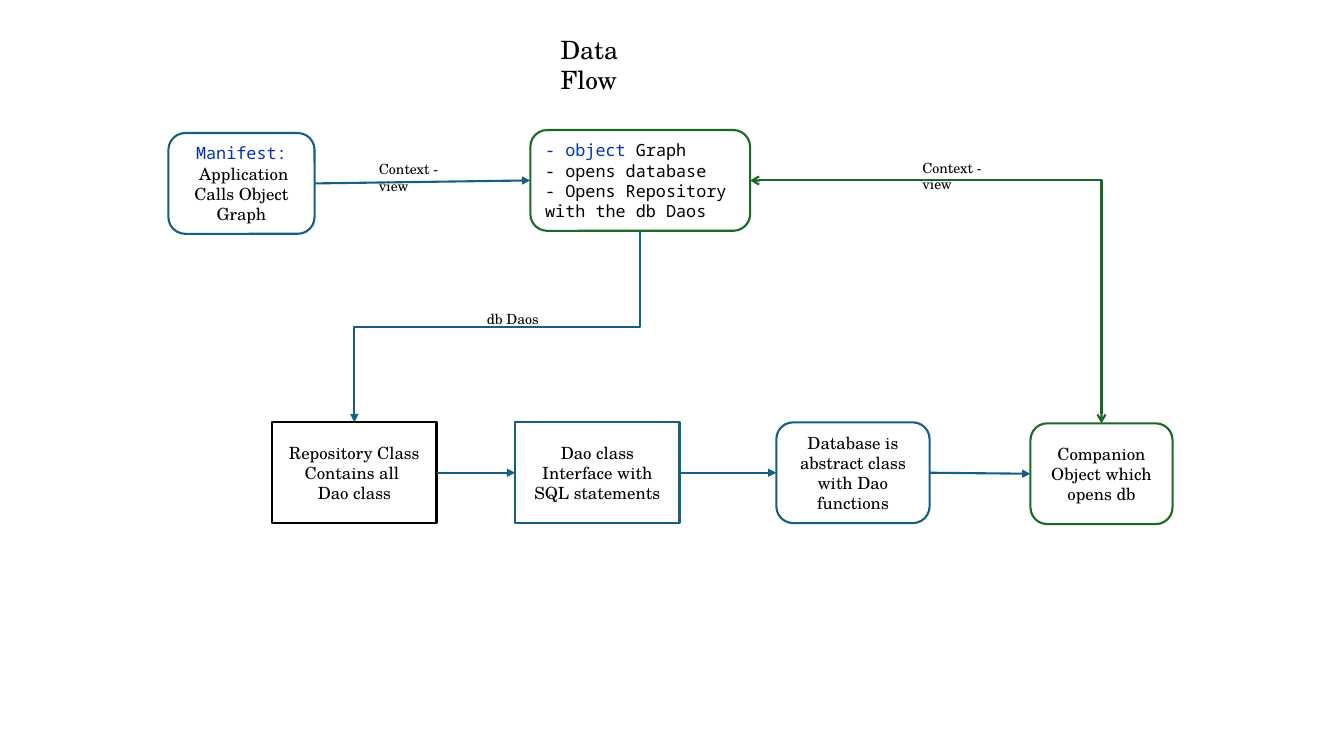
from pptx import Presentation
from pptx import util as u
from pptx.dml.color import RGBColor
from pptx.enum import shapes, text
from pptx.oxml import parse_xml
from pptx.oxml.ns import nsdecls, qn

HUES = {"ink": "000000", "paper": "FFFFFF", "blue": "156082",
        "green": "196B24", "code": "0033B3"}
SERIF, MONO = "TeX Gyre Schola", "Noto Sans Mono"
RECT = shapes.MSO_SHAPE.RECTANGLE
ROUND = shapes.MSO_SHAPE.ROUNDED_RECTANGLE
KINDS = shapes.MSO_CONNECTOR
LEFT, MID = text.PP_ALIGN.LEFT, text.PP_ALIGN.CENTER
# Connection sites of a rectangle
WEST, EAST = 1, 3


def hue(name):
    return RGBColor.from_string(HUES[name])


def write(shape, lines, size=12, align=MID, anchor=text.MSO_ANCHOR.MIDDLE):
    """Each line is a list of (words, font, colour) runs, or plain serif words."""
    frame = shape.text_frame
    frame.word_wrap = True
    frame.auto_size = text.MSO_AUTO_SIZE.NONE
    frame.vertical_anchor = anchor
    for i, line in enumerate(lines):
        para = frame.paragraphs[0] if i == 0 else frame.add_paragraph()
        para.alignment = align
        runs = [(line, SERIF, "ink")] if isinstance(line, str) else line
        for words, face, tint in runs:
            run = para.add_run()
            run.text = words
            run.font.size = u.Pt(size)
            run.font.name = face
            run.font.color.rgb = hue(tint)


def head(slide, box, words):
    title = slide.shapes.title
    title.left, title.top, title.width, title.height = map(u.Inches, box)
    write(title, [words], size=18, align=LEFT, anchor=text.MSO_ANCHOR.TOP)


def label(slide, x, y, wide, words):
    note = slide.shapes.add_textbox(*map(u.Inches, (x, y, wide, 0.27)))
    write(note, [words], size=10, align=LEFT, anchor=text.MSO_ANCHOR.TOP)


def node(slide, box, lines, form=ROUND, edge="blue", align=MID):
    shape = slide.shapes.add_shape(form, *map(u.Inches, box))
    shape.shadow.inherit = False
    shape.fill.solid()
    shape.fill.fore_color.rgb = hue("paper")
    shape.line.color.rgb = hue(edge)
    shape.line.width = u.Pt(1.5)
    write(shape, lines, align=align)
    return shape


def link(slide, kind, start, end, edge="blue", tips=(("tailEnd", "triangle"),)):
    line = slide.shapes.add_connector(kind, *start, *end)
    line.line.color.rgb = hue(edge)
    line.line.width = u.Pt(1.5)
    for tag, tip in tips:
        line.line._get_or_add_ln().append(
            parse_xml(f'<a:{tag} {nsdecls("a")} type="{tip}"/>'))
    line._element.spPr.append(parse_xml(f'<a:effectLst {nsdecls("a")}/>'))
    return line


def join(slide, a, b):
    """Straight arrow from the right of one node to the left of the next."""
    line = link(slide, KINDS.STRAIGHT, (0, 0), (0, 0))
    line.begin_connect(a, EAST)
    line.end_connect(b, WEST)


def corner(slide, a, b):
    """Two-way arrow from the right of a, turning down to the top of b."""
    line = link(slide, KINDS.ELBOW,
                (a.left + a.width, a.top + a.height // 2),
                (b.left + b.width // 2, b.top), edge="green",
                tips=(("headEnd", "arrow"), ("tailEnd", "arrow")))
    line._element.spPr.find(qn("a:prstGeom")).set("prst", "bentConnector2")


def drop(slide, a, b):
    """Stepped arrow from the bottom of a to the top of b, lower left."""
    x1, y1 = a.left + a.width // 2, a.top + a.height
    x2, y2 = b.left + b.width // 2, b.top
    cx, cy = (x1 + x2) // 2, (y1 + y2) // 2
    half, rise = (y2 - y1) // 2, (x1 - x2) // 2
    # Elbow is laid flat, then turned a quarter about its centre
    line = link(slide, KINDS.ELBOW, (cx - half, cy - rise),
                (cx + half, cy + rise))
    line._element.spPr.find(qn("a:xfrm")).set("rot", "5400000")


def entry(slide, x, y):
    """Upper row: manifest and object graph."""
    app = node(slide, (x, y + 0.03, 1.45, 1), [
        [("Manifest:", MONO, "code")], " Application", "Calls Object Graph"])
    hub = node(slide, (x + 3.59, y, 2.18, 1), [
        [("- object ", MONO, "code"), ("Graph", MONO, "ink")],
        [("- opens database", MONO, "ink")],
        [("- Opens Repository with the db Daos", MONO, "ink")],
    ], edge="green", align=LEFT)
    join(slide, app, hub)
    label(slide, x + 1.99, y + 0.25, 1.05, "Context - view")
    return hub


def chain(slide, x, y):
    """Lower row: repository through to the companion object."""
    parts = [
        (0, 0, 1.63, RECT, "ink",
         ["Repository Class", "Contains all ", "Dao class"]),
        (2.41, 0, 1.63, RECT, "blue",
         ["Dao class", "Interface with SQL statements"]),
        (5, 0, 1.52, ROUND, "blue",
         ["Database is abstract class with Dao functions"]),
        (7.52, 0.01, 1.41, ROUND, "green",
         ["Companion Object which opens db"]),
    ]
    nodes = [node(slide, (x + dx, y + dy, wide, 1), lines, form, edge)
             for dx, dy, wide, form, edge, lines in parts]
    for a, b in zip(nodes, nodes[1:]):
        join(slide, a, b)
    return nodes[0], nodes[-1]


def main():
    deck = Presentation()
    deck.slide_width, deck.slide_height = u.Inches(13.33), u.Inches(7.5)
    slide = deck.slides.add_slide(deck.slide_layouts[5])
    head(slide, (5.46, 0.29, 1.29, 0.4), "Data Flow")
    hub = entry(slide, 1.67, 1.29)
    store, mate = chain(slide, 2.7, 4.19)
    # Links between the rows
    corner(slide, hub, mate)
    drop(slide, hub, store)
    label(slide, 9.05, 1.53, 1.05, "Context - view")
    label(slide, 4.73, 3.03, 0.71, "db Daos")
    deck.save("out.pptx")


if __name__ == "__main__":
    main()
